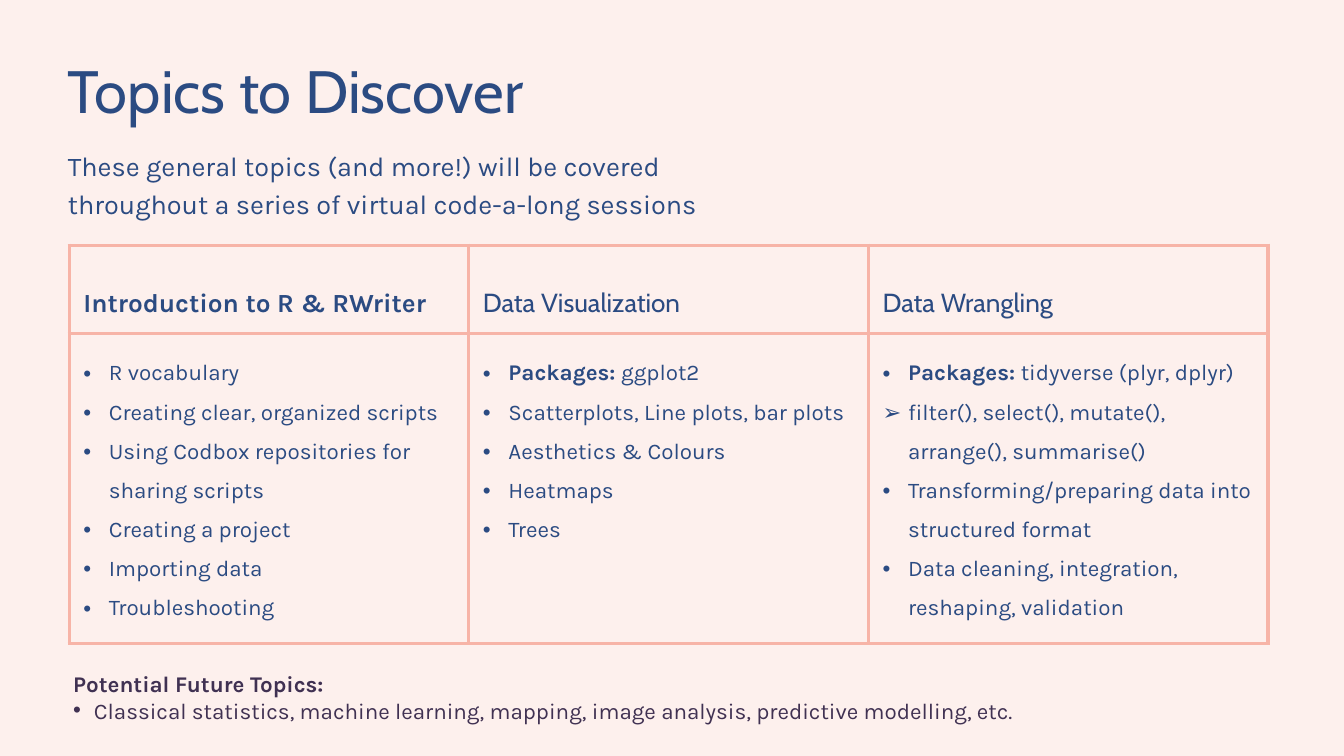
import lxml.etree
import pptx
import pptx.dml.color
import pptx.enum.text
import pptx.oxml.ns
import pptx.util

NAVY, PLUM, CORAL, CREAM = "2B4B82", "403152", "F7B4A7", "FDF0ED"
qn = pptx.oxml.ns.qn
Pt = pptx.util.Pt

presentation = pptx.Presentation()
presentation.slide_width = pptx.util.Inches(20)
presentation.slide_height = pptx.util.Inches(11.25)
unit = presentation.slide_width // 20  # the slide is a grid of 20 columns
slide = presentation.slides.add_slide(presentation.slide_layouts[6])


def color(hex_string):
    return pptx.dml.color.RGBColor.from_string(hex_string)


def write(paragraph, runs, size, font="Karla", ink=NAVY, spacing=None, bullet=None, indent=0.38):
    """Fill a paragraph with (text, bold) runs, with a hanging bullet if given."""
    if bullet:
        properties = paragraph._p.get_or_add_pPr()
        properties.set("marL", str(int(indent * unit)))
        properties.set("indent", str(-int(indent * unit)))
        lxml.etree.SubElement(properties, qn("a:buFont"), typeface="Arial")
        lxml.etree.SubElement(properties, qn("a:buChar"), char=bullet)
    if spacing:
        paragraph.line_spacing = spacing
    for text, bold in runs:
        run = paragraph.add_run()
        run.text = text
        run.font.size = Pt(size)
        run.font.name = font
        run.font.bold = bold
        run.font.color.rgb = color(ink)


slide.background.fill.solid()
slide.background.fill.fore_color.rgb = color(CREAM)

# Title and introduction
intro = "These general topics (and more!) will be covered throughout a series of virtual code-a-long sessions"
for text, top, height, size, font, spacing in [
    ("Topics to Discover", 0.93, 0.94, 64, "Cabin", 67.2),
    (intro, 2.15, 1.11, 29, "Karla", 40.6),
]:
    box = slide.shapes.add_textbox(int(1.01 * unit), int(top * unit), int(10.47 * unit), int(height * unit))
    frame = box.text_frame
    frame.word_wrap = True
    frame.auto_size = pptx.enum.text.MSO_AUTO_SIZE.SHAPE_TO_FIT_TEXT
    frame.margin_left = frame.margin_right = frame.margin_top = frame.margin_bottom = 0
    write(frame.paragraphs[0], [(text, False)], size, font, spacing=Pt(spacing))

# Topics: heading, heading font, heading line spacing, (bullet, bold lead, text)
topics = [
    ("Introduction to R & RWriter", "Karla", 33.6, [
        ("•", "", "R vocabulary"),
        ("•", "", "Creating clear, organized scripts"),
        ("•", "", "Using Codbox repositories for sharing scripts"),
        ("•", "", "Creating a project"),
        ("•", "", "Importing data"),
        ("•", "", "Troubleshooting"),
    ]),
    ("Data Visualization", "Cabin", 39.2, [
        ("•", "Packages: ", "ggplot2"),
        ("•", "", "Scatterplots, Line plots, bar plots"),
        ("•", "", "Aesthetics & Colours"),
        ("•", "", "Heatmaps"),
        ("•", "", "Trees"),
    ]),
    ("Data Wrangling", "Cabin", 39.2, [
        ("•", "Packages: ", "tidyverse (plyr, dplyr)"),
        ("➢", "", "filter(), select(), mutate(), arrange(), summarise()"),
        ("•", "", "Transforming/preparing data into structured format"),
        ("•", "", "Data cleaning, integration, reshaping, validation"),
    ]),
]

# Topics table
table = slide.shapes.add_table(
    2, len(topics), int(1.03 * unit), int(3.65 * unit), int(17.84 * unit), int(5.92 * unit)
).table
table.first_row = table.horz_banding = False
table.rows[0].height = int(1.31 * unit)
table.rows[1].height = int(4.61 * unit)

for column, (heading, font, spacing, items) in enumerate(topics):
    head, body = table.cell(0, column), table.cell(1, column)
    head.vertical_anchor = pptx.enum.text.MSO_ANCHOR.BOTTOM
    write(head.text_frame.paragraphs[0], [(heading, font == "Karla")], 28, font, spacing=Pt(spacing))
    for index, (bullet, lead, text) in enumerate(items):
        frame = body.text_frame
        paragraph = frame.add_paragraph() if index else frame.paragraphs[0]
        runs = [(lead, True)] if lead else []
        write(paragraph, runs + [(text, False)], 24, spacing=1.5, bullet=bullet)

# Cell margins, borders and fill
for cell in table.iter_cells():
    cell.margin_left = cell.margin_right = cell.margin_top = cell.margin_bottom = int(0.21 * unit)
    properties = cell._tc.get_or_add_tcPr()
    for side in ("a:lnL", "a:lnR", "a:lnT", "a:lnB"):
        line = lxml.etree.SubElement(properties, qn(side), w=str(Pt(3.75)))
        fill = lxml.etree.SubElement(line, qn("a:solidFill"))
        lxml.etree.SubElement(fill, qn("a:srgbClr"), val=CORAL)
    cell.fill.background()

# Future topics
future = "Classical statistics, machine learning, mapping, image analysis, predictive modelling, etc."
box = slide.shapes.add_textbox(int(0.99 * unit), int(9.92 * unit), int(17.86 * unit), int(0.91 * unit))
frame = box.text_frame
frame.word_wrap = True
frame.auto_size = pptx.enum.text.MSO_AUTO_SIZE.SHAPE_TO_FIT_TEXT
write(frame.paragraphs[0], [("Potential Future Topics:", True)], 24, ink=PLUM)
write(frame.add_paragraph(), [(future, False)], 24, ink=PLUM, bullet="•", indent=0.31)

presentation.save("out.pptx")
